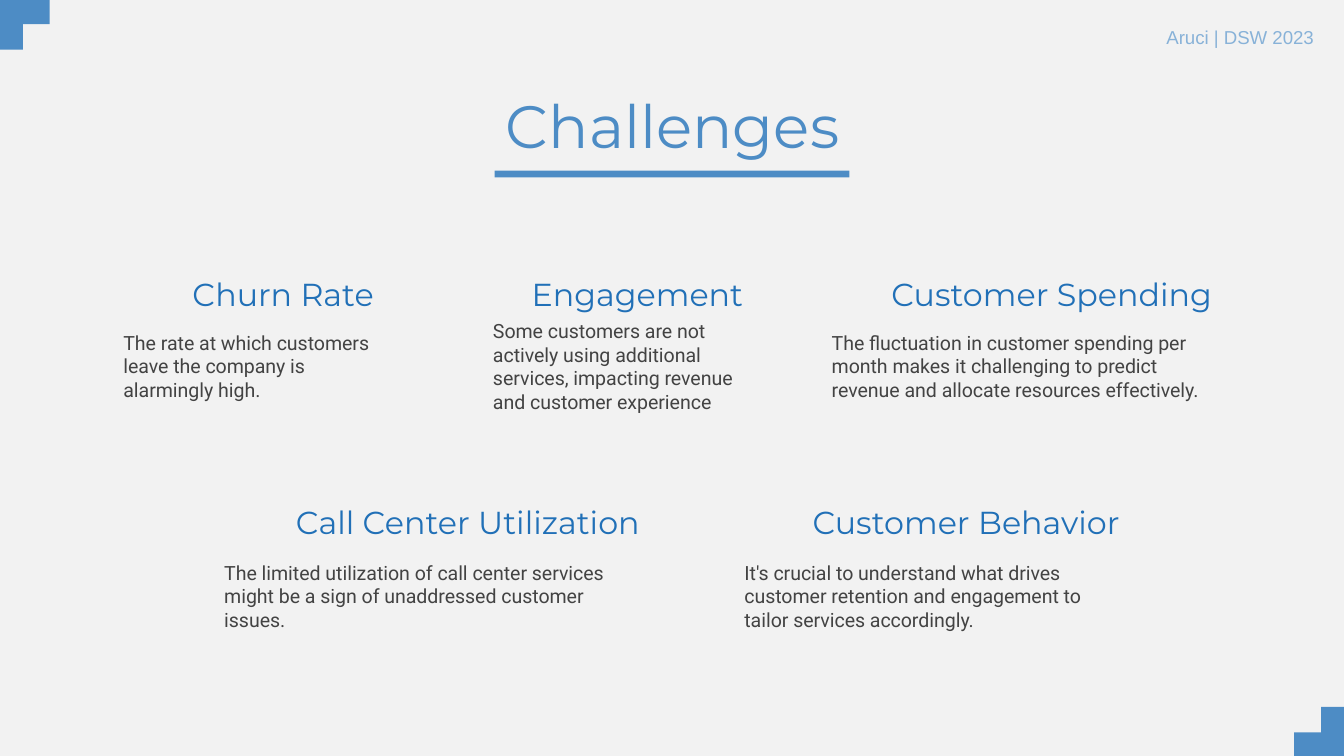
from pptx import Presentation
from pptx import util as u
from pptx.dml.color import RGBColor
from pptx.enum import shapes, text

THEME = {
    "background": "F2F2F2", "accent": "4D8CC5", "heading": "2170B7",
    "body": "434343", "label": "88B2D8",
    "title_size": 32, "heading_size": 17, "body_size": 10.5, "label_size": 10,
    "display_font": "Montserrat", "body_font": "Roboto", "label_font": "Arial",
}
TITLE = "Challenges"
LABEL = "Aruci | DSW 2023"
ROWS = [
    (2.04, 2.31, [
        (0.82, 2.06, 2.06, "Churn Rate",
         "The rate at which customers leave the company is alarmingly high."),
        (3.57, 2.06, 2.17, "Engagement",
         "Some customers are not actively using additional services, "
         "impacting revenue and customer experience"),
        (6.09, 3.09, 3.09, "Customer Spending ",
         "The fluctuation in customer spending per month makes it challenging "
         "to predict revenue and allocate resources effectively."),
    ]),
    (3.74, 4.02, [
        (1.57, 3.29, 3.29, "Call Center Utilization",
         "The limited utilization of call center services might be a sign of "
         "unaddressed customer issues."),
        (5.44, 2.99, 2.99, "Customer Behavior",
         "It's crucial to understand what drives customer retention and "
         "engagement to tailor services accordingly."),
    ]),
]
HEADING_HEIGHT, BODY_HEIGHT = 0.29, 0.83
SQUARE = 0.54
CORNERS = [
    [(-0.37, -0.17), (-0.17, -0.36)],
    [(9.63, 5.45), (9.83, 5.26)],
]


def color(name):
    return RGBColor.from_string(THEME[name])


def write(shape, words, size, font, tint, align=text.PP_ALIGN.LEFT, inset=0.1, wrap=True):
    frame = shape.text_frame
    frame.auto_size = text.MSO_AUTO_SIZE.NONE
    frame.word_wrap = wrap
    frame.vertical_anchor = text.MSO_ANCHOR.MIDDLE
    frame.margin_left = frame.margin_right = u.Inches(0.1)
    frame.margin_top = frame.margin_bottom = u.Inches(inset)
    paragraph = frame.paragraphs[0]
    paragraph.text = words
    paragraph.alignment = align
    paragraph.font.size = u.Pt(THEME[size])
    paragraph.font.name = THEME[font]
    paragraph.font.color.rgb = color(tint)


def add_block(container, left, top, width, height):
    block = container.add_shape(
        shapes.MSO_SHAPE.RECTANGLE, *map(u.Inches, (left, top, width, height)))
    block.shadow.inherit = False
    block.fill.solid()
    block.fill.fore_color.rgb = color("accent")
    block.line.fill.background()


def add_text(container, left, top, width, height, *style, **options):
    box = container.add_textbox(*map(u.Inches, (left, top, width, height)))
    write(box, *style, **options)


def add_challenge(slide, heading_top, body_top, left, heading_width, body_width,
                  heading, body):
    group = slide.shapes.add_group_shape().shapes
    add_text(group, left, heading_top, heading_width, HEADING_HEIGHT, heading,
             "heading_size", "display_font", "heading", align=text.PP_ALIGN.RIGHT)
    add_text(group, left, body_top, body_width, BODY_HEIGHT, body,
             "body_size", "body_font", "body")


def main():
    presentation = Presentation()
    presentation.slide_width = u.Inches(10)
    presentation.slide_height = presentation.slide_width * 9 // 16
    slide = presentation.slides.add_slide(presentation.slide_layouts[5])
    slide.background.fill.solid()
    slide.background.fill.fore_color.rgb = color("background")

    title = slide.shapes.title
    title.left, title.top, title.width, title.height = map(
        u.Inches, (2.85, 0.43, 4.31, 0.99))
    write(title, TITLE, "title_size", "display_font", "accent", align=text.PP_ALIGN.CENTER)
    add_block(slide.shapes, 3.68, 1.27, 2.64, 0.05)

    for heading_top, body_top, challenges in ROWS:
        for challenge in challenges:
            add_challenge(slide, heading_top, body_top, *challenge)

    for corner in CORNERS:
        group = slide.shapes.add_group_shape().shapes
        for left, top in corner:
            add_block(group, left, top, SQUARE, SQUARE)

    add_text(slide.shapes, 8.58, 0.14, 1.31, 0.27, LABEL,
             "label_size", "label_font", "label", inset=0.05, wrap=False)
    presentation.save("out.pptx")


if __name__ == "__main__":
    main()
